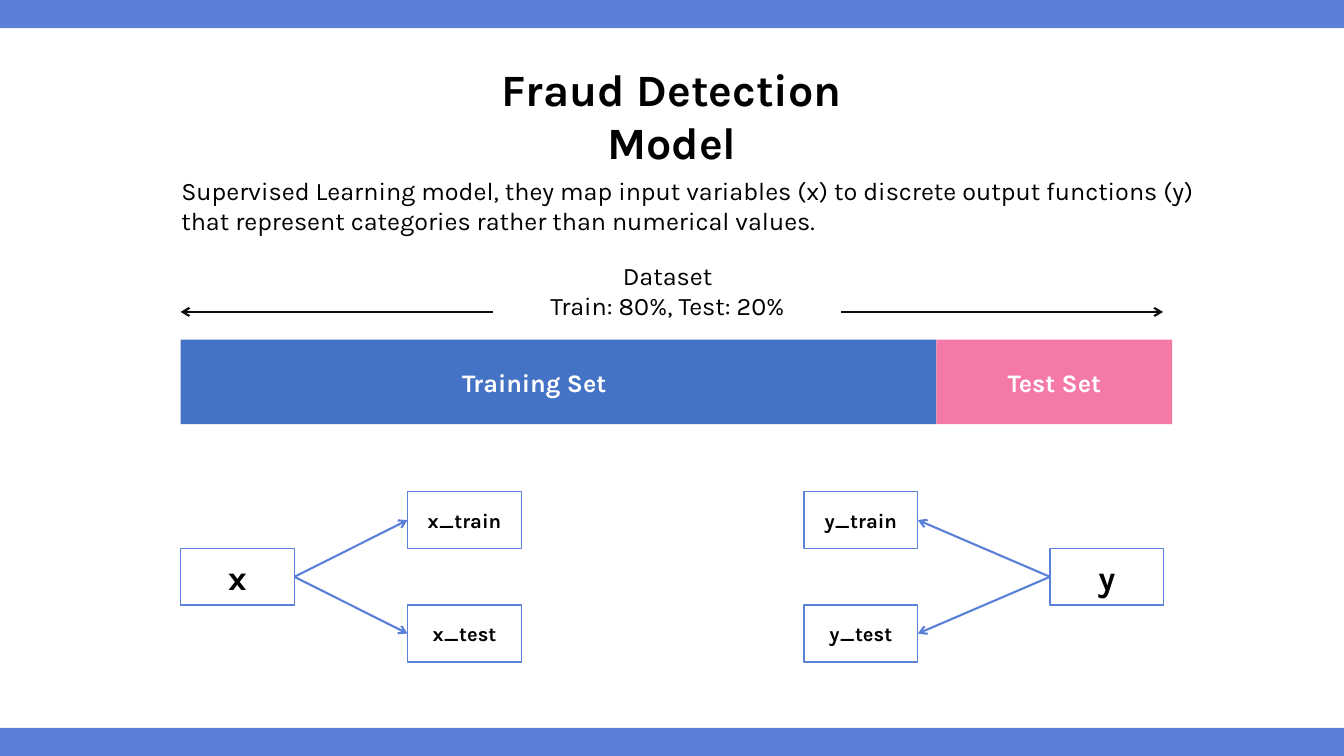
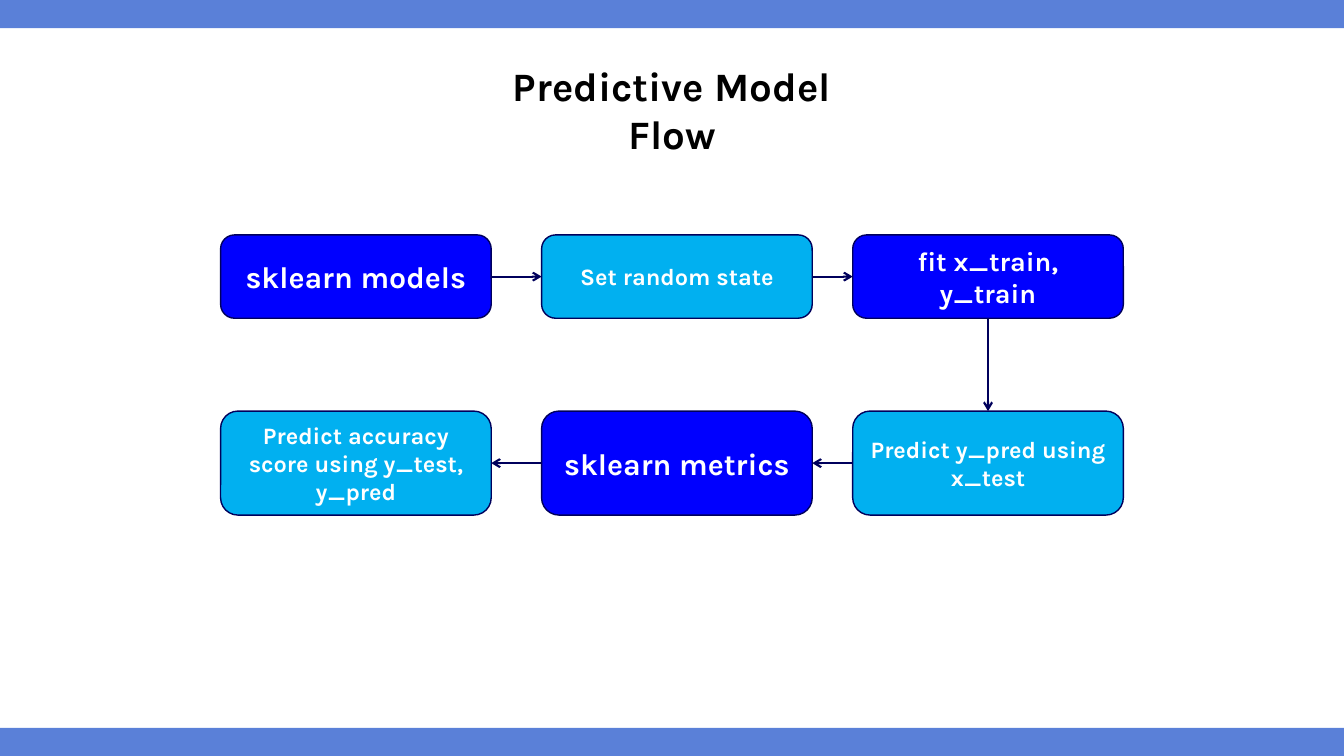
from dataclasses import dataclass

import pptx
import pptx.dml.color
import pptx.enum.shapes
import pptx.enum.text
import pptx.oxml.ns
import pptx.util
from lxml import etree
from pptx.util import Cm

SHAPE = pptx.enum.shapes.MSO_SHAPE
ALIGN = pptx.enum.text.PP_ALIGN
ANCHOR = pptx.enum.text.MSO_ANCHOR
TOP, LEFT, BOTTOM, RIGHT = range(4)


@dataclass(frozen=True)
class Theme:
    font: str = "Karla"
    text: str = "000000"
    white: str = "FFFFFF"
    band: str = "5A80D8"
    span: str = "0D0D0D"
    training: str = "4472C4"
    test: str = "F579A7"
    strong: str = "0000FF"
    light: str = "01B0F0"
    navy: str = "00005C"
    body_size: float = 18
    root_size: float = 24
    leaf_size: float = 14.4
    outline: float = 1
    arrow: float = 1.5


THEME = Theme()
SLIDE_W, SLIDE_H = 33.87, 19.05
BAND_H = 0.71

# Slide 1
SUMMARY = ("Supervised Learning model, they map input variables (x) to discrete "
           "output functions (y) that represent categories rather than numerical values.")
DATASET = ["Dataset", "Train: 80%, Test: 20%"]
# label, left, width, colour, right inset
SPLIT = [("Training Set", 4.55, 19.05, THEME.training, 1.47),
         ("Test Set", 23.6, 5.94, THEME.test, 0.25)]
# start and end of the arrows on either side of the dataset label
DATASET_SPANS = [(12.42, 4.55), (21.2, 29.31)]
# root, root left, leaves, leaves left, sides joined on root and on leaf
VARIABLES = [("x", 4.55, ["x_train", "x_test"], 10.27, RIGHT, LEFT),
             ("y", 26.46, ["y_train", "y_test"], 20.26, LEFT, RIGHT)]
VARIABLE_W, VARIABLE_H = 2.87, 1.43
LEAVES_TOP = 12.39

# Slide 2: rows in flow order, the second runs from right to left
STEP_LEFTS = [5.56, 13.65, 21.49]
STEP_W = 6.82
STEP_ROWS = [
    (5.92, 2.1, STEP_LEFTS, [("sklearn models", 21.6), ("Set random state", 16.8),
                             ("fit x_train, y_train", 19.2)]),
    (10.36, 2.62, STEP_LEFTS[::-1], [("Predict y_pred using x_test", 16.8),
                                     ("sklearn metrics", 21.6),
                                     ("Predict accuracy score using y_test, y_pred", 16.8)]),
]


def rgb(value):
    return pptx.dml.color.RGBColor.from_string(value)


def write(frame, lines, size, color, bold=False, align=ALIGN.CENTER):
    frame.word_wrap = True
    for number, line in enumerate(lines):
        paragraph = frame.add_paragraph() if number else frame.paragraphs[0]
        paragraph.alignment = align
        run = paragraph.add_run()
        run.text = line
        run.font.name = THEME.font
        run.font.size = pptx.util.Pt(size)
        run.font.bold = bold
        run.font.color.rgb = rgb(color)


def add_text(slide, left, top, width, height, lines, size, **style):
    frame = slide.shapes.add_textbox(Cm(left), Cm(top), Cm(width), Cm(height)).text_frame
    write(frame, lines, size, THEME.text, **style)
    frame.auto_size = pptx.enum.text.MSO_AUTO_SIZE.SHAPE_TO_FIT_TEXT


def add_box(slide, left, top, width, height, fill, outline=None, preset=SHAPE.RECTANGLE,
            label=None, size=THEME.body_size, color=THEME.white):
    box = slide.shapes.add_shape(preset, Cm(left), Cm(top), Cm(width), Cm(height))
    box.shadow.inherit = False
    box.fill.solid()
    box.fill.fore_color.rgb = rgb(fill)
    if outline:
        box.line.color.rgb = rgb(outline)
        box.line.width = pptx.util.Pt(THEME.outline)
    else:
        box.line.fill.background()
    if label:
        box.text_frame.vertical_anchor = ANCHOR.MIDDLE
        write(box.text_frame, [label], size, color, bold=True)
    return box


def add_arrow(slide, color, start=(0, 0), end=(0, 0)):
    arrow = slide.shapes.add_connector(pptx.enum.shapes.MSO_CONNECTOR.STRAIGHT,
                                       *map(Cm, start + end))
    arrow.line.color.rgb = rgb(color)
    arrow.line.width = pptx.util.Pt(THEME.arrow)
    qn = pptx.oxml.ns.qn
    properties = arrow.element.spPr
    etree.SubElement(properties.find(qn("a:ln")), qn("a:tailEnd"), type="arrow")
    etree.SubElement(properties, qn("a:effectLst"))
    return arrow


def join(slide, source, source_side, target, target_side, color):
    arrow = add_arrow(slide, color)
    arrow.begin_connect(source, source_side)
    arrow.end_connect(target, target_side)


def new_slide(deck, title, size, title_width):
    """Add a blank slide with the shared bands and centred title."""
    slide = deck.slides.add_slide(deck.slide_layouts[6])
    for top in (0, SLIDE_H - BAND_H):
        add_box(slide, 0, top, SLIDE_W, BAND_H, THEME.band)
    add_text(slide, (SLIDE_W - title_width) / 2, 1.42, title_width, 1.6,
             [title], size, bold=True)
    return slide


def build_detection(deck):
    slide = new_slide(deck, "Fraud Detection Model", 32, 12.3)
    add_text(slide, 4.32, 4.29, 26.9, 1.8, [SUMMARY], THEME.body_size, align=ALIGN.LEFT)
    add_text(slide, 12.42, 6.43, 8.81, 1.8, DATASET, THEME.body_size)
    for start, end in DATASET_SPANS:
        add_arrow(slide, THEME.span, (start, 7.86), (end, 7.86))
    for label, left, width, fill, inset in SPLIT:
        segment = add_box(slide, left, 8.56, width, 2.13, fill, label=label)
        segment.text_frame.margin_right = Cm(inset)

    def add_variable(label, left, row, size):
        return add_box(slide, left, LEAVES_TOP + row * VARIABLE_H, VARIABLE_W, VARIABLE_H,
                       THEME.white, THEME.band, label=label, size=size, color=THEME.text)

    for name, root_left, leaves, leaf_left, root_side, leaf_side in VARIABLES:
        root = add_variable(name, root_left, 1, THEME.root_size)
        for number, leaf_name in enumerate(leaves):
            leaf = add_variable(leaf_name, leaf_left, 2 * number, THEME.leaf_size)
            join(slide, root, root_side, leaf, leaf_side, THEME.band)


def build_flow(deck):
    slide = new_slide(deck, "Predictive Model Flow", 28.8, 10.7)
    steps = []
    for top, height, lefts, labels in STEP_ROWS:
        for left, (label, size) in zip(lefts, labels):
            fill = THEME.light if len(steps) % 2 else THEME.strong
            steps.append(add_box(slide, left, top, STEP_W, height, fill, THEME.navy,
                                 SHAPE.ROUNDED_RECTANGLE, label, size))
    for source, target in zip(steps, steps[1:]):
        if source.left == target.left:
            sides = BOTTOM, TOP
        elif source.left < target.left:
            sides = RIGHT, LEFT
        else:
            sides = LEFT, RIGHT
        join(slide, source, sides[0], target, sides[1], THEME.navy)


def main():
    deck = pptx.Presentation()
    deck.slide_width, deck.slide_height = Cm(SLIDE_W), Cm(SLIDE_H)
    build_detection(deck)
    build_flow(deck)
    deck.save("out.pptx")


if __name__ == "__main__":
    main()
